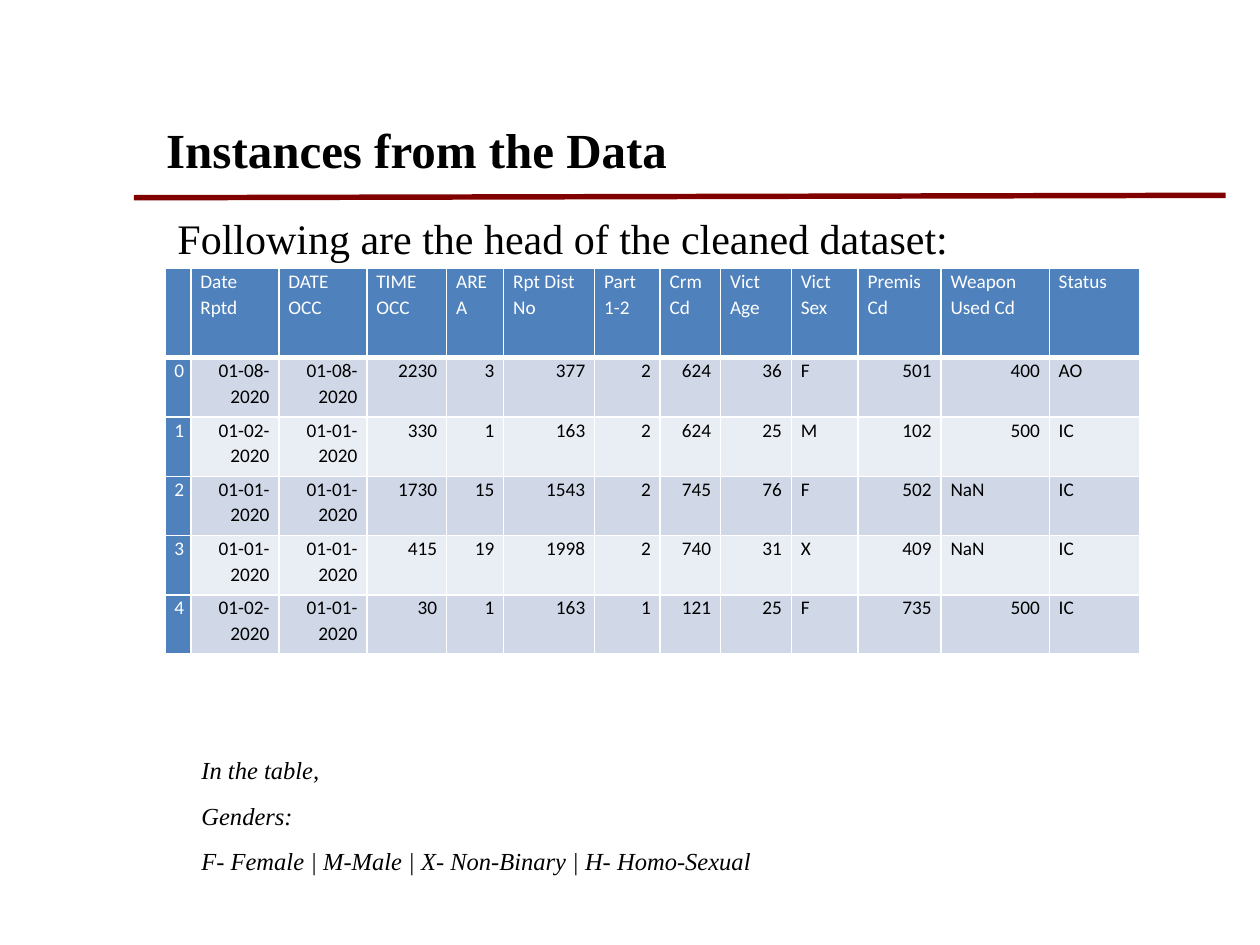
from dataclasses import dataclass

from lxml.etree import SubElement
from pptx import Presentation
from pptx.dml.color import RGBColor
from pptx.enum.shapes import MSO_CONNECTOR
from pptx.enum.text import PP_ALIGN
from pptx.oxml.ns import qn
from pptx.util import Pt

BLACK = RGBColor(0x00, 0x00, 0x00)
WHITE = RGBColor(0xFF, 0xFF, 0xFF)
MAROON = RGBColor(0x80, 0x00, 0x00)
BLUE = RGBColor(0x4F, 0x81, 0xBD)
BANDS = (RGBColor(0xD0, 0xD8, 0xE8), RGBColor(0xE9, 0xED, 0xF4))
SERIF = "Times New Roman"
SANS = "Calibri"


@dataclass
class TextBlock:
    left: float
    top: float
    width: float
    height: float
    lines: tuple[str, ...]
    size: float
    bold: bool = False
    italic: bool = False
    inset: tuple[float, float] = (7.2, 3.6)
    line_spacing: float = 1.07
    space_before: float = 0
    space_after: float = 8


@dataclass
class Column:
    heading: str
    width: float
    values: tuple[str, ...]


TITLE = TextBlock(94.3, 67.7, 355.7, 34.6, ("Instances from the Data",), 28, bold=True,
                  inset=(0.7, 0.7), line_spacing=1, space_before=0.9, space_after=0)
INTRO = TextBlock(94.3, 115.9, 481, 36.7,
                  ("Following are the head of the cleaned dataset:",), 24)
LEGEND = TextBlock(108, 427, 481, 77,
                   ("In the table,", "Genders:",
                    "F- Female | M-Male | X- Non-Binary | H- Homo-Sexual"), 14, italic=True)

COLUMNS = (
    Column("", 14.8, ("0", "1", "2", "3", "4")),
    Column("Date Rptd", 50.3,
           ("01-08-2020", "01-02-2020", "01-01-2020", "01-01-2020", "01-02-2020")),
    Column("DATE OCC", 50.3,
           ("01-08-2020", "01-01-2020", "01-01-2020", "01-01-2020", "01-01-2020")),
    Column("TIME OCC", 45.6, ("2230", "330", "1730", "415", "30")),
    Column("AREA", 32.6, ("3", "1", "15", "19", "1")),
    Column("Rpt Dist No", 52, ("377", "163", "1543", "1998", "163")),
    Column("Part 1-2", 37.4, ("2", "2", "2", "2", "1")),
    Column("Crm Cd", 34.6, ("624", "624", "745", "740", "121")),
    Column("Vict Age", 40.4, ("36", "25", "76", "31", "25")),
    Column("Vict Sex", 38.2, ("F", "M", "F", "X", "F")),
    Column("Premis Cd", 47.4, ("501", "102", "502", "409", "735")),
    Column("Weapon Used Cd", 61.8, ("400", "500", "NaN", "NaN", "500")),
    Column("Status", 51.8, ("AO", "IC", "IC", "IC", "IC")),
)
TABLE_LEFT, TABLE_TOP = 94.3, 153.4
HEADER_HEIGHT, ROW_HEIGHT = 51, 33.9


def add_text(slide, block: TextBlock) -> None:
    sp = slide.shapes.add_textbox(Pt(block.left), Pt(block.top),
                                  Pt(block.width), Pt(block.height))
    tf = sp.text_frame
    tf.word_wrap = True
    tf.margin_left = tf.margin_right = Pt(block.inset[0])
    tf.margin_top = tf.margin_bottom = Pt(block.inset[1])
    tf.text = "\n".join(block.lines)
    for p in tf.paragraphs:
        p.line_spacing = block.line_spacing
        p.space_before = Pt(block.space_before)
        p.space_after = Pt(block.space_after)
        p.font.name = SERIF
        p.font.size = Pt(block.size)
        p.font.bold = block.bold
        p.font.italic = block.italic
        p.font.color.rgb = BLACK


def add_rule(slide) -> None:
    line = slide.shapes.add_connector(MSO_CONNECTOR.STRAIGHT,
                                      Pt(76.5), Pt(113), Pt(700.3), Pt(111.6))
    line.line.color.rgb = MAROON
    line.line.width = Pt(3.12)
    SubElement(line._element.spPr, qn("a:effectLst"))


def set_borders(cell, bottom: float) -> None:
    """Draw white cell borders; must run before the cell's fill is set."""
    tc_pr = cell._tc.get_or_add_tcPr()
    for side, width in (("L", 1), ("R", 1), ("T", 1), ("B", bottom)):
        ln = SubElement(tc_pr, qn(f"a:ln{side}"), w=str(Pt(width)))
        fill = SubElement(ln, qn("a:solidFill"))
        SubElement(fill, qn("a:srgbClr"), val=str(WHITE))


def fill_cell(cell, text: str, row: int, col: int) -> None:
    heading = row == 0 or col == 0
    set_borders(cell, bottom=3 if row == 0 else 1)
    cell.fill.solid()
    cell.fill.fore_color.rgb = BLUE if heading else BANDS[(row - 1) % 2]
    cell.margin_left = cell.margin_right = Pt(5.4)
    cell.margin_top = cell.margin_bottom = Pt(0)
    cell.text = text
    p = cell.text_frame.paragraphs[0]
    numeric = text[:1].isdigit() and not heading
    p.alignment = PP_ALIGN.RIGHT if numeric else PP_ALIGN.LEFT
    p.line_spacing = 1.07
    p.space_after = Pt(8)
    p.font.name = SANS
    p.font.size = Pt(11)
    p.font.bold = False
    p.font.color.rgb = WHITE if heading else BLACK


def add_data_table(slide) -> None:
    heights = [HEADER_HEIGHT] + [ROW_HEIGHT] * len(COLUMNS[0].values)
    width = sum(column.width for column in COLUMNS)
    table = slide.shapes.add_table(len(heights), len(COLUMNS), Pt(TABLE_LEFT), Pt(TABLE_TOP),
                                   Pt(width), Pt(sum(heights))).table
    for row, height in enumerate(heights):
        table.rows[row].height = Pt(height)
    for col, column in enumerate(COLUMNS):
        table.columns[col].width = Pt(column.width)
        for row, text in enumerate((column.heading, *column.values)):
            fill_cell(table.cell(row, col), text, row, col)


def main() -> None:
    prs = Presentation()
    prs.slide_width, prs.slide_height = Pt(720), Pt(540)
    slide = prs.slides.add_slide(prs.slide_layouts[6])
    add_rule(slide)
    add_text(slide, TITLE)
    add_data_table(slide)
    add_text(slide, INTRO)
    add_text(slide, LEGEND)
    prs.save("out.pptx")


if __name__ == "__main__":
    main()
